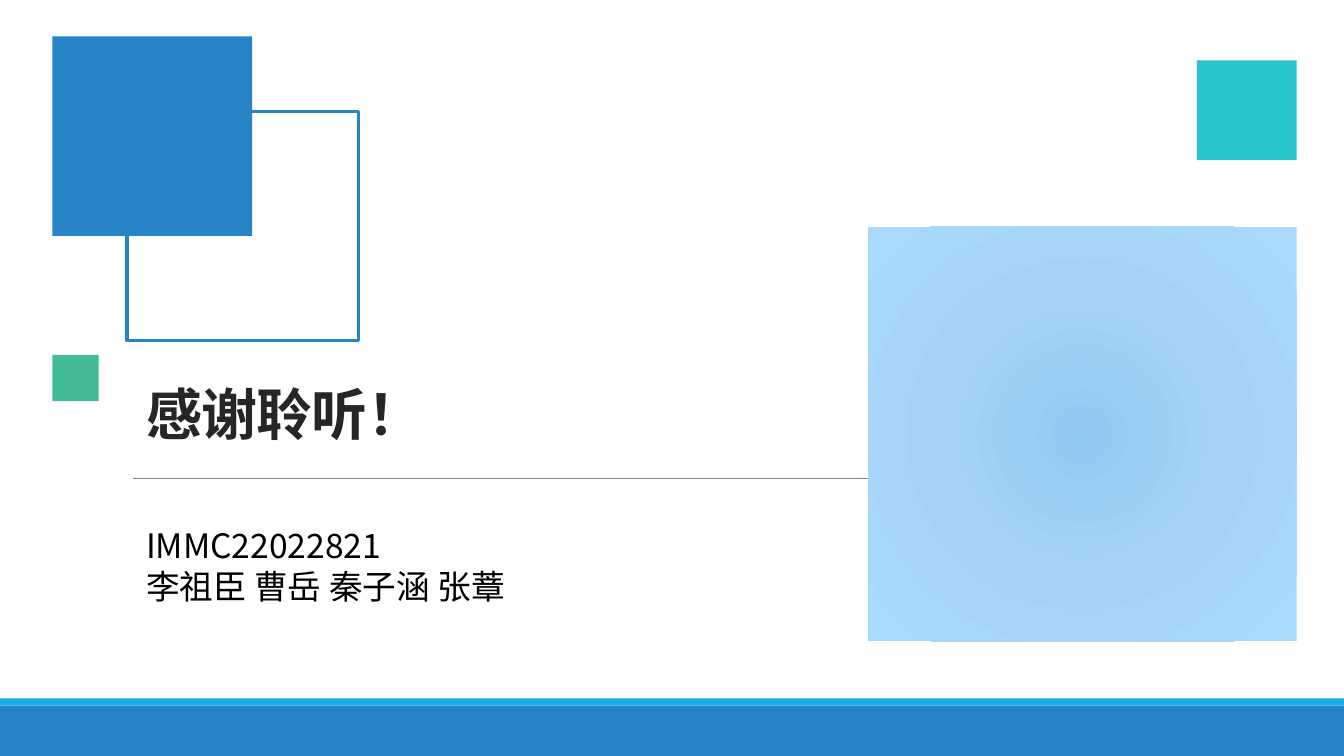
from lxml import etree
from pptx import Presentation
from pptx.dml.color import RGBColor
from pptx.enum.shapes import MSO_CONNECTOR, MSO_SHAPE
from pptx.enum.text import MSO_ANCHOR, MSO_AUTO_SIZE, PP_ALIGN
from pptx.oxml import parse_xml
from pptx.oxml.ns import nsdecls, qn
from pptx.util import Inches, Pt

FONT = "Noto Sans CJK SC"
COLORS = {
    "blue": "2683C6",
    "sky": "1CADE4",
    "teal": "28C4CC",
    "green": "42BA97",
    "rule": "808080",
    "title": "262626",
    "text": "000000",
}
GLOW_STOPS = [(0, "92C9F0"), (45, "A4D3F5"), (100, "A9D9FD")]

deck = Presentation()
deck.slide_width, deck.slide_height = Inches(13.33), Inches(7.5)
page = deck.slides.add_slide(deck.slide_layouts[5])


def add_block(left, top, width, height, color=None):
    """Add a borderless rectangle, unfilled when no color is given."""
    block = page.shapes.add_shape(
        MSO_SHAPE.RECTANGLE, Inches(left), Inches(top), Inches(width), Inches(height))
    block.shadow.inherit = False
    block.line.fill.background()
    if color:
        block.fill.solid()
        block.fill.fore_color.rgb = RGBColor.from_string(COLORS[color])
    else:
        block.fill.background()
    return block


def add_span(para, text, size, color):
    span = para.add_run()
    span.text = text
    span.font.size = Pt(size)
    span.font.name = FONT
    span.font.color.rgb = RGBColor.from_string(COLORS[color])
    etree.SubElement(span.font._element, qn("a:ea")).set("typeface", FONT)
    return span


# Footer bands and rule
add_block(0, 7, 13.33, 0.5, "blue")
add_block(0, 6.93, 13.33, 0.07, "sky")
rule = page.shapes.add_connector(
    MSO_CONNECTOR.STRAIGHT, Inches(1.32), Inches(4.75), Inches(12.12), Inches(4.75))
rule.line.color.rgb = RGBColor.from_string(COLORS["rule"])
rule.line.width = Pt(0.5)
etree.SubElement(rule._element.spPr, qn("a:effectLst"))

# Decorative squares
frame = add_block(1.26, 1.11, 2.3, 2.27)
frame.line.color.rgb = RGBColor.from_string(COLORS["blue"])
frame.line.width = Pt(2.25)

glow = add_block(8.61, 2.25, 4.25, 4.11)
stops = "".join(
    f'<a:gs pos="{position * 1000}"><a:srgbClr val="{color}"/></a:gs>'
    for position, color in GLOW_STOPS)
radial_fill = parse_xml(
    f'<a:gradFill {nsdecls("a")} rotWithShape="1"><a:gsLst>{stops}</a:gsLst>'
    '<a:path path="circle"><a:fillToRect l="50000" t="50000" r="50000" b="50000"/>'
    '</a:path></a:gradFill>')
glow_properties = glow._element.spPr
glow_properties.replace(glow_properties.find(qn("a:noFill")), radial_fill)

for left, top, side, color in [
    (0.52, 0.36, 1.98, "blue"),
    (11.87, 0.6, 0.99, "teal"),
    (0.52, 3.52, 0.46, "green"),
]:
    add_block(left, top, side, side, color)

# Title
title = page.shapes.title
title.left, title.top = Inches(1.35), Inches(3.03)
title.width, title.height = Inches(10.64), Inches(1.45)
title.text_frame.auto_size = MSO_AUTO_SIZE.NONE
title.text_frame.vertical_anchor = MSO_ANCHOR.BOTTOM
para = title.text_frame.paragraphs[0]
para.alignment = PP_ALIGN.LEFT
para.line_spacing = 0.85
span = add_span(para, "感谢聆听！", 40, "title")
span.font.bold = True
span.font._element.set("spc", "-50")

# Team number and members
team_box = page.shapes.add_textbox(Inches(1.35), Inches(5.16), Inches(4.62), Inches(0.91))
team = team_box.text_frame
team.word_wrap = True
team.auto_size = MSO_AUTO_SIZE.SHAPE_TO_FIT_TEXT
for index, line in enumerate(["IMMC22022821", "李祖臣 曹岳 秦子涵 张蔁"]):
    para = team.add_paragraph() if index else team.paragraphs[0]
    add_span(para, line, 24, "text")

deck.save("out.pptx")
